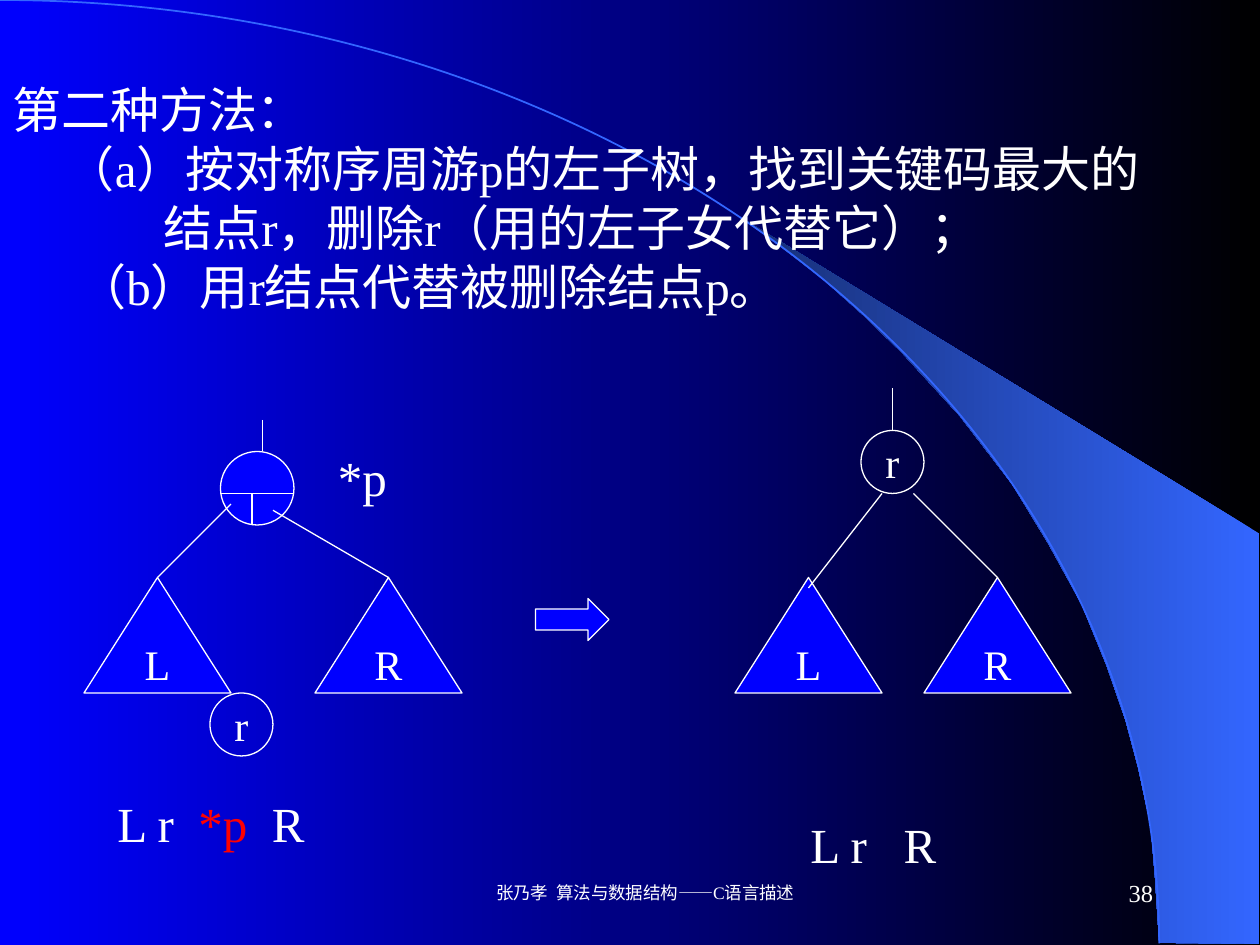
from dataclasses import dataclass

from lxml import etree
from pptx import Presentation
from pptx import util as u
from pptx.dml.color import RGBColor
from pptx.enum import shapes, text
from pptx.oxml.ns import qn

PX = 7620  # EMU per px, 120 px to the inch
FONT = "Times New Roman"
WHITE, BLUE, BLACK, RED = "FFFFFF", "0000FF", "000000", "FF0000"
SKY, NAVY = "3366FF", "172F75"
KIND = shapes.MSO_SHAPE
ALIGN = text.PP_ALIGN


@dataclass
class Node:
    kind: int
    left: int
    top: int
    width: int
    height: int
    label: str = ""
    fill: str | None = BLUE
    line: str = WHITE
    line_width: float = 0.75


@dataclass
class Paragraph:
    runs: list[tuple[str, str]]
    indent: int = 0


@dataclass
class TextBox:
    left: int
    top: int
    width: int
    height: int
    paragraphs: list[Paragraph]
    size: int = 28
    align: int = ALIGN.LEFT
    anchor: int = text.MSO_ANCHOR.TOP
    space_before: float = 0


def subtree(left: int, label: str) -> Node:
    return Node(KIND.ISOSCELES_TRIANGLE, left, 550, 140, 110, label)


def r_node(left: int, top: int) -> Node:
    return Node(KIND.OVAL, left, top, 60, 60, "r", fill=None)


def plain(content: str, indent: int = 0) -> Paragraph:
    return Paragraph([(content, WHITE)], indent)


BAND = [(1104, 898), (1199, 899), (1199, 508), (707, 208), (749, 239), (784, 266),
        (822, 300), (859, 336), (914, 396), (964, 461), (998, 517), (1030, 575),
        (1054, 634), (1072, 686), (1084, 731), (1096, 787), (1100, 835)]
ARC = Node(KIND.ARC, -1104, 0, 2208, 1797, fill=None, line=SKY, line_width=1)

NODES = [
    Node(KIND.OVAL, 210, 430, 70, 70),
    subtree(80, "L"), subtree(300, "R"), r_node(200, 660),
    Node(KIND.RIGHT_ARROW, 510, 570, 70, 40),
    r_node(820, 410), subtree(700, "L"), subtree(880, "R"),
]

EDGES = [
    (250, 400, 250, 430), (210, 470, 280, 470), (240, 470, 240, 500),
    (220, 480, 150, 550), (260, 486, 370, 550),
    (850, 370, 850, 410), (840, 470, 770, 560), (870, 470, 950, 550),
]

TEXTS = [
    TextBox(0, 70, 1207, 236, [
        plain("第二种方法："),
        plain("（a）按对称序周游p的左子树，找到关键码最大的", 51),
        plain("结点r，删除r（用的左子女代替它）；", 144),
        plain("（b）用r结点代替被删除结点p。", 62),
    ]),
    TextBox(310, 420, 80, 68, [plain("*p")], space_before=17.5),
    TextBox(100, 750, 220, 68,
            [Paragraph([("L r  ", WHITE), ("*p", RED), ("  R", WHITE)])],
            space_before=17.5),
    TextBox(760, 770, 220, 68, [plain("L r   R")], space_before=17.5),
    TextBox(410, 820, 380, 60, [plain("张乃孝  算法与数据结构——C语言描述", 29)],
            10, ALIGN.CENTER, text.MSO_ANCHOR.MIDDLE),
    TextBox(860, 820, 250, 60, [plain("38")], 14, ALIGN.RIGHT, text.MSO_ANCHOR.MIDDLE),
]


def px(*lengths: int) -> list[u.Emu]:
    return [u.Emu(length * PX) for length in lengths]


def color(code: str) -> RGBColor:
    return RGBColor.from_string(code)


def fill_right_to_left(fill, right: str, left: str) -> None:
    fill.gradient()
    fill.gradient_angle = 180
    for stop, position, code in zip(fill.gradient_stops, (0, 1), (right, left)):
        stop.position = position
        stop.color.rgb = color(code)


def style_paragraph(paragraph, size: int, align: int) -> None:
    paragraph.alignment = align
    paragraph.font.name = FONT
    paragraph.font.size = u.Pt(size)


def draw_band(slide) -> None:
    builder = slide.shapes.build_freeform(*BAND[0], scale=PX)
    builder.add_line_segments(BAND[1:], close=True)
    shape = builder.convert_to_shape()
    shape.shadow.inherit = False
    fill_right_to_left(shape.fill, SKY, NAVY)
    shape.line.fill.background()


def draw_node(slide, node: Node) -> None:
    shape = slide.shapes.add_shape(
        node.kind, *px(node.left, node.top, node.width, node.height))
    shape.shadow.inherit = False
    if node.fill:
        shape.fill.solid()
        shape.fill.fore_color.rgb = color(node.fill)
    else:
        shape.fill.background()
    shape.line.color.rgb = color(node.line)
    shape.line.width = u.Pt(node.line_width)
    if node.label:
        frame = shape.text_frame
        frame.word_wrap = False
        frame.vertical_anchor = text.MSO_ANCHOR.MIDDLE
        paragraph = frame.paragraphs[0]
        paragraph.text = node.label
        style_paragraph(paragraph, 24, ALIGN.CENTER)
        paragraph.font.color.rgb = color(WHITE)


def draw_edge(slide, edge: tuple[int, int, int, int]) -> None:
    connector = slide.shapes.add_connector(shapes.MSO_CONNECTOR.STRAIGHT, *px(*edge))
    connector.line.color.rgb = color(WHITE)
    connector.line.width = u.Pt(0.75)
    etree.SubElement(connector._element.spPr, qn("a:effectLst"))


def draw_text(slide, box: TextBox) -> None:
    frame = slide.shapes.add_textbox(
        *px(box.left, box.top, box.width, box.height)).text_frame
    frame.word_wrap = True
    frame.vertical_anchor = box.anchor
    for index, item in enumerate(box.paragraphs):
        paragraph = frame.add_paragraph() if index else frame.paragraphs[0]
        style_paragraph(paragraph, box.size, box.align)
        paragraph.space_before = u.Pt(box.space_before)
        properties = paragraph._p.get_or_add_pPr()
        properties.set("marL", str(item.indent * PX))
        properties.set("indent", "0")
        for content, code in item.runs:
            run = paragraph.add_run()
            run.text = content
            run.font.color.rgb = color(code)


def main() -> None:
    presentation = Presentation()
    presentation.slide_width, presentation.slide_height = px(1200, 900)
    slide = presentation.slides.add_slide(presentation.slide_layouts[6])
    fill_right_to_left(slide.background.fill, BLACK, BLUE)
    draw_band(slide)
    for node in [ARC, *NODES]:
        draw_node(slide, node)
    for edge in EDGES:
        draw_edge(slide, edge)
    for box in TEXTS:
        draw_text(slide, box)
    presentation.save("out.pptx")


if __name__ == "__main__":
    main()
